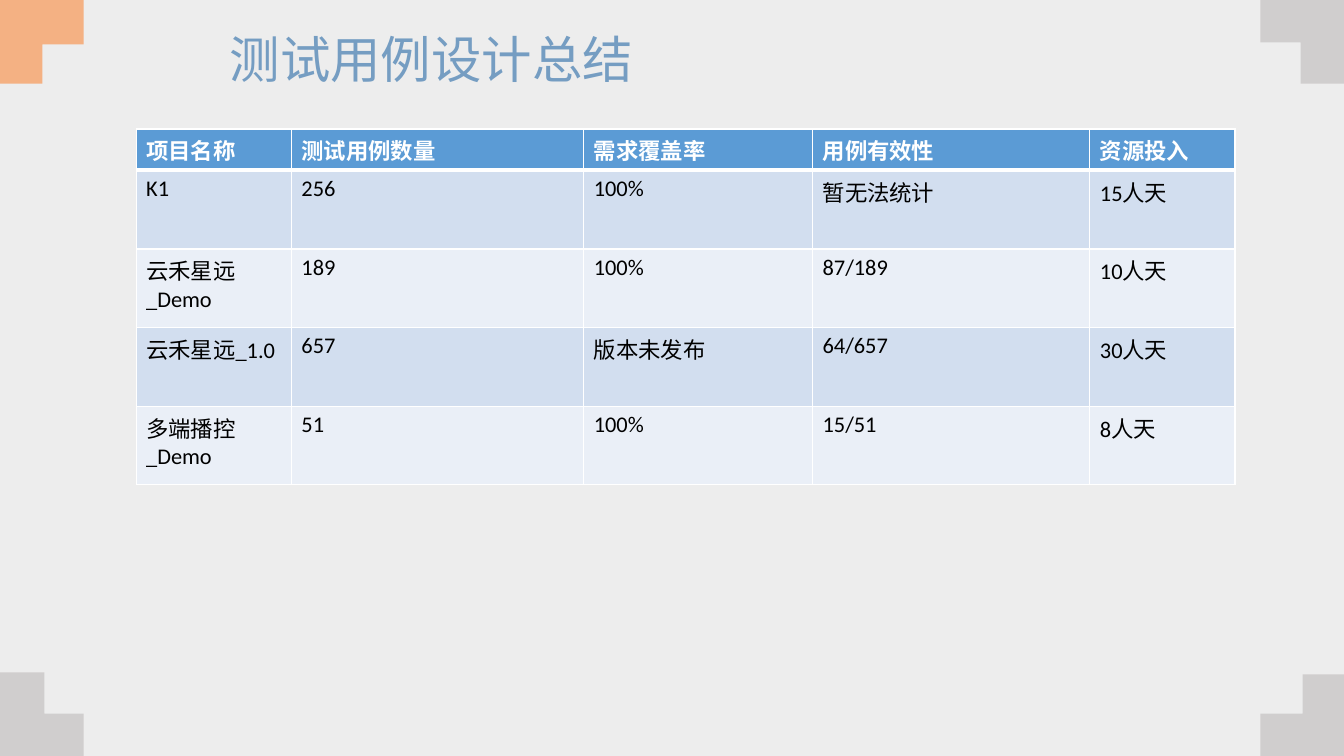
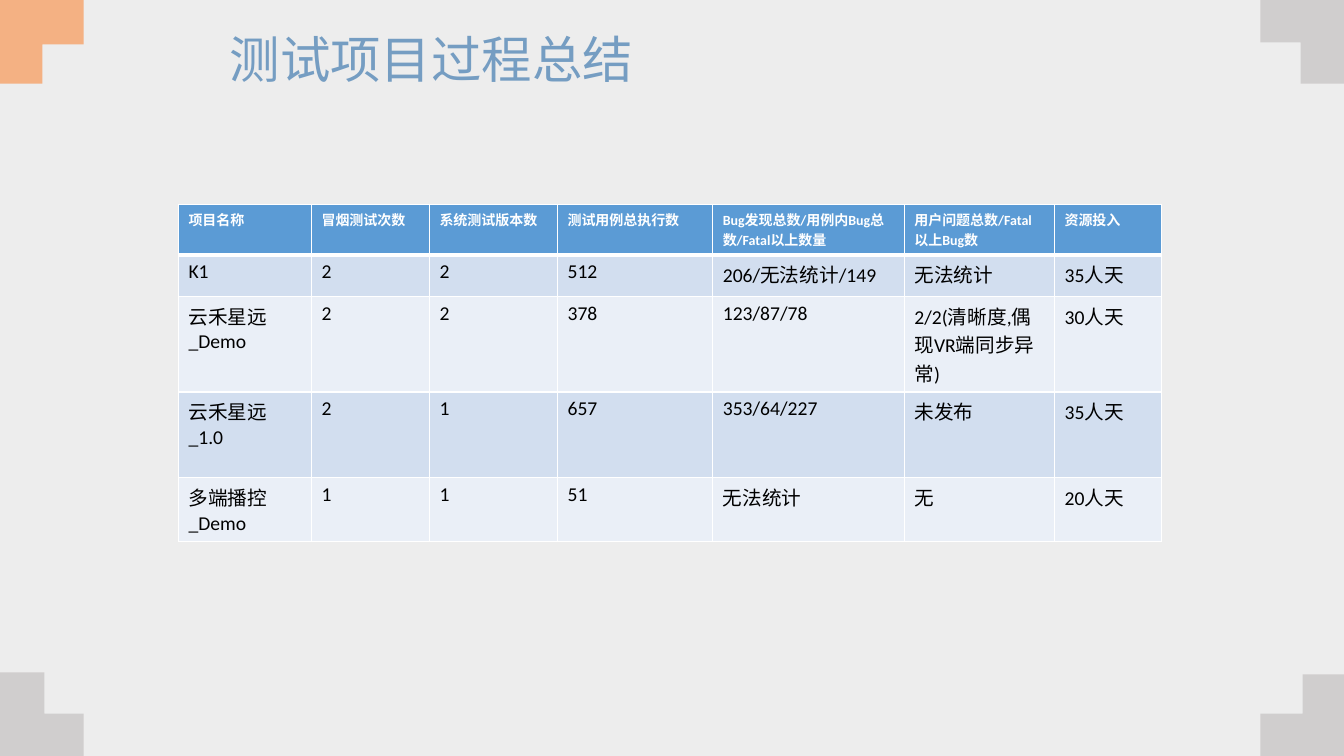
from lxml.etree import SubElement
from pptx import Presentation
from pptx.dml.color import RGBColor
from pptx.enum.text import MSO_ANCHOR
from pptx.oxml.ns import qn
from pptx.util import Inches, Pt

WIDTH, HEIGHT = 13.33, 7.5
COLOURS = {
    "background": "EDEDED",
    "title": "759DC2",
    "accent": "F4B183",
    "corner": "D0CECE",
    "header": "5B9BD5",
    "odd": "D2DEEF",
    "even": "EAEFF7",
    "white": "FFFFFF",
    "black": "000000",
}
TITLE_FONT, TABLE_FONT = "Noto Sans CJK SC", "Calibri"
TITLE_BOX = (2.18, 0.28, 8.98, 0.67)
CORNER_REACH = 0.83
CORNERS = [
    (0, 1, 0.44, 0.42, 0.83, "corner"),
    (0, 0, 0.42, 0.44, 0.83, "accent"),
    (1, 0, 0.43, 0.42, 0.83, "corner"),
    (1, 1, 0.41, 0.42, 0.81, "corner"),
]

CASE_SUMMARY = {
    "title": "测试用例设计总结",
    "origin": (1.35, 1.28),
    "columns": [1.54, 2.9, 2.27, 2.75, 1.44],
    "rows": [0.41] + [0.78] * 4,
    "sizes": (16, 16),
    "cells": [
        ["项目名称", "测试用例数量", "需求覆盖率", "用例有效性", "资源投入"],
        ["K1", "256", "100%", "暂无法统计", "15人天"],
        ["云禾星远_Demo", "189", "100%", "87/189", "10人天"],
        ["云禾星远_1.0", "657", "版本未发布", "64/657", "30人天"],
        ["多端播控_Demo", "51", "100%", "15/51", "8人天"],
    ],
}
PROCESS_SUMMARY = {
    "title": "测试项目过程总结",
    "origin": (1.77, 2.03),
    "columns": [1.32, 1.17, 1.27, 1.54, 1.9, 1.49, 1.06],
    "rows": [0.5, 0.41, 0.95, 0.85, 0.63],
    "sizes": (10, 14),
    "cells": [
        ["项目名称", "冒烟测试次数", "系统测试版本数", "测试用例总执行数",
         "Bug发现总数/用例内Bug总数/Fatal以上数量",
         "用户问题总数/Fatal以上Bug数", "资源投入"],
        ["K1", "2", "2", "512", "206/无法统计/149", "无法统计", "35人天"],
        ["云禾星远_Demo", "2", "2", "378", "123/87/78",
         "2/2(清晰度,偶现VR端同步异常)", "30人天"],
        ["云禾星远_1.0", "2", "1", "657", "353/64/227", "未发布", "35人天"],
        ["多端播控_Demo", "1", "1", "51", "无法统计", "无", "20人天"],
    ],
}


def colour(name):
    return RGBColor.from_string(COLOURS[name])


def paint(fill, name):
    fill.solid()
    fill.fore_color.rgb = colour(name)


def add_text(para, text, font, size, colour_name, bold=False):
    span = para.add_run()
    span.text = text
    span.font.name = font
    span.font.size = Pt(size)
    span.font.bold = bold
    span.font.color.rgb = colour(colour_name)


def add_corner(page, right, bottom, stem, bar, height, colour_name):
    outline = [(0, 0), (CORNER_REACH, 0), (CORNER_REACH, bar),
               (stem, bar), (stem, height), (0, height)]
    points = [(Inches(WIDTH - x if right else x), Inches(HEIGHT - y if bottom else y))
              for x, y in outline]
    builder = page.shapes.build_freeform(*points[0])
    builder.add_line_segments(points[1:], close=True)
    corner = builder.convert_to_shape()
    corner.shadow.inherit = False
    paint(corner.fill, colour_name)
    corner.line.fill.background()


def add_title(page, title, box):
    frame = page.shapes.add_textbox(*map(Inches, box)).text_frame
    frame.word_wrap = True
    frame.vertical_anchor = MSO_ANCHOR.MIDDLE
    para = frame.paragraphs[0]
    para.line_spacing = 0.9
    add_text(para, title, TITLE_FONT, 36, "title")


def add_borders(cell, top, bottom):
    properties = cell._tc.get_or_add_tcPr()
    widths = {"a:lnL": 1, "a:lnR": 1, "a:lnT": top, "a:lnB": bottom}
    for position, (tag, width) in enumerate(widths.items()):
        line = SubElement(properties, qn(tag), w=str(Pt(width)))
        fill = SubElement(line, qn("a:solidFill"))
        SubElement(fill, qn("a:srgbClr"), val=COLOURS["white"])
        properties.insert(position, line)


def add_summary_table(page, summary):
    cells, columns, rows = summary["cells"], summary["columns"], summary["rows"]
    box = (*summary["origin"], sum(columns), sum(rows))
    table = page.shapes.add_table(len(rows), len(columns), *map(Inches, box)).table
    for column, width in zip(table.columns, columns):
        column.width = Inches(width)
    for row, height in zip(table.rows, rows):
        row.height = Inches(height)
    header_size, body_size = summary["sizes"]
    for row_index, values in enumerate(cells):
        header = row_index == 0
        band = "header" if header else "odd" if row_index % 2 else "even"
        for column_index, value in enumerate(values):
            cell = table.cell(row_index, column_index)
            paint(cell.fill, band)
            add_borders(cell, 3 if row_index == 1 else 1, 3 if header else 1)
            add_text(cell.text_frame.paragraphs[0], value, TABLE_FONT,
                     header_size if header else body_size,
                     "white" if header else "black", header)


def add_summary_page(deck, summary):
    page = deck.slides.add_slide(deck.slide_layouts[6])
    paint(page.background.fill, "background")
    for corner in CORNERS:
        add_corner(page, *corner)
    add_title(page, summary["title"], TITLE_BOX)
    add_summary_table(page, summary)


def main():
    deck = Presentation()
    deck.slide_width, deck.slide_height = Inches(WIDTH), Inches(HEIGHT)
    for summary in (CASE_SUMMARY, PROCESS_SUMMARY):
        add_summary_page(deck, summary)
    deck.save("out.pptx")


if __name__ == "__main__":
    main()
